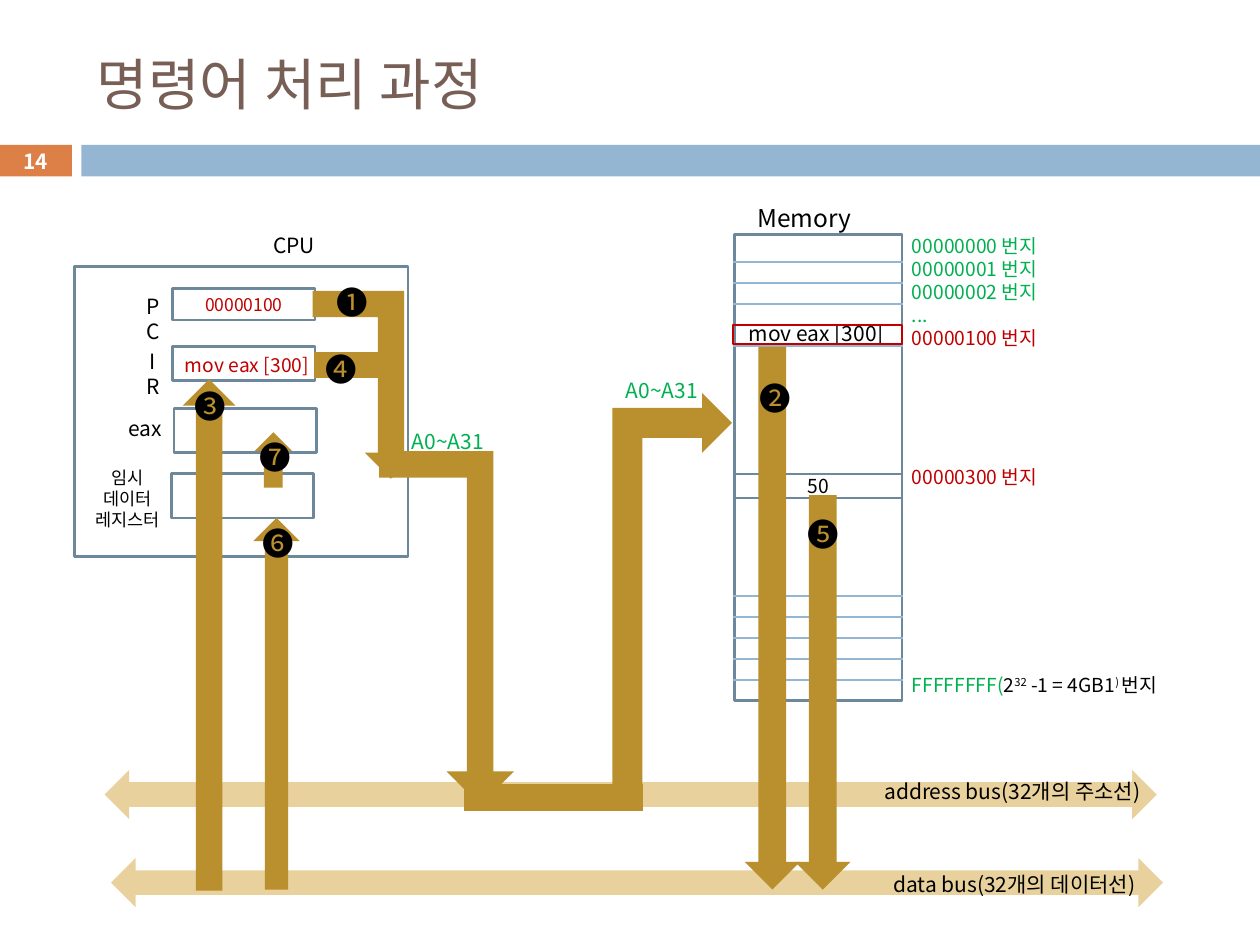
from dataclasses import dataclass

from lxml import etree
from pptx import Presentation
from pptx.dml.color import RGBColor
from pptx.enum.shapes import MSO_CONNECTOR, MSO_SHAPE
from pptx.enum.text import MSO_ANCHOR, MSO_AUTO_SIZE, PP_ALIGN
from pptx.oxml.ns import qn
from pptx.util import Pt

RECT = MSO_SHAPE.RECTANGLE
PROCESS = MSO_SHAPE.FLOWCHART_PROCESS
BUS = MSO_SHAPE.LEFT_RIGHT_ARROW
BENT = MSO_SHAPE.BENT_UP_ARROW
UP = MSO_SHAPE.UP_ARROW
DOWN = MSO_SHAPE.DOWN_ARROW
STRAIGHT = MSO_CONNECTOR.STRAIGHT
LEFT, CENTER = PP_ALIGN.LEFT, PP_ALIGN.CENTER
TOP, MIDDLE = MSO_ANCHOR.TOP, MSO_ANCHOR.MIDDLE
NO_FIT = MSO_AUTO_SIZE.NONE


@dataclass(frozen=True)
class Theme:
    font: str = "Noto Sans CJK KR"
    leading: float = 1.2
    title: str = "775F55"
    black: str = "000000"
    white: str = "FFFFFF"
    red: str = "C00000"
    green: str = "00B050"
    outline: str = "6D879B"
    rule: str = "94B6D2"
    badge: str = "DD8047"
    bus: str = "E8D19D"
    flow: str = "BA8F2D"
    title_size: float = 32
    step_size: float = 18
    heading_size: float = 14
    label_size: float = 12
    address_size: float = 11
    small_size: float = 10


THEME = Theme()


@dataclass(frozen=True)
class Box:
    x: float
    y: float
    w: float
    h: float

    def lengths(self) -> tuple:
        return Pt(self.x), Pt(self.y), Pt(self.w), Pt(self.h)


@dataclass(frozen=True)
class Shape:
    kind: int
    box: Box
    fill: str | None = None
    line: str | None = None
    weight: float = 1.5
    text: str = ""
    color: str = THEME.black
    size: float = THEME.label_size
    bold: bool = False
    flip: bool = False
    rotation: float = 0
    adjust: float = 0.25


@dataclass(frozen=True)
class Label:
    text: str
    box: Box
    size: float = THEME.label_size
    color: str = THEME.black
    align: int = LEFT
    wrap: bool = True


@dataclass(frozen=True)
class Address:
    text: str
    color: str
    rows_above: int = 0


def format_run(r, size: float, color: str, bold: bool = False) -> None:
    r.font.size = Pt(size)
    r.font.bold = bold
    r.font.color.rgb = RGBColor.from_string(color)
    r.font.name = THEME.font
    ea = etree.SubElement(r._r.get_or_add_rPr(), qn("a:ea"))
    ea.set("typeface", THEME.font)


def format_text(tf, size: float, color: str, align: int, anchor: int, bold: bool = False) -> None:
    tf.vertical_anchor = anchor
    for p in tf.paragraphs:
        p.alignment = align
        p.line_spacing = Pt(size * THEME.leading)
        for r in p.runs:
            format_run(r, size, color, bold)


def draw_shape(s, item: Shape) -> None:
    sp = s.shapes.add_shape(item.kind, *item.box.lengths())
    sp.shadow.inherit = False
    sp.rotation = item.rotation
    if item.fill:
        sp.fill.solid()
        sp.fill.fore_color.rgb = RGBColor.from_string(item.fill)
    else:
        sp.fill.background()
    if item.line:
        sp.line.color.rgb = RGBColor.from_string(item.line)
        sp.line.width = Pt(item.weight)
    else:
        sp.line.fill.background()
    if item.flip:
        sp._element.spPr.find(qn("a:xfrm")).set("flipV", "1")
    if item.kind == BENT:
        sp.adjustments[0] = item.adjust
    if item.text:
        sp.text_frame.text = item.text
        format_text(sp.text_frame, item.size, item.color, CENTER, MIDDLE, item.bold)


def draw_label(s, item: Label) -> None:
    tf = s.shapes.add_textbox(*item.box.lengths()).text_frame
    tf.word_wrap = item.wrap
    tf.auto_size = NO_FIT
    tf.text = item.text
    format_text(tf, item.size, item.color, item.align, TOP)


def draw_rules(s, top: float) -> None:
    for row in range(5):
        y = Pt(top + 12 * row)
        cn = s.shapes.add_connector(STRAIGHT, Pt(419), y, Pt(516.2), y)
        cn.line.color.rgb = RGBColor.from_string(THEME.rule)
        cn.line.width = Pt(0.79)
        etree.SubElement(cn._element.spPr, qn("a:effectLst"))


def draw_addresses(s) -> None:
    tf = s.shapes.add_textbox(*Box(514, 130.3, 181, 273.6).lengths()).text_frame
    tf.word_wrap = True
    size = THEME.address_size
    pitch = size * THEME.leading
    for i, item in enumerate(ADDRESSES):
        p = tf.paragraphs[0] if i == 0 else tf.add_paragraph()
        p.text = item.text
        p.line_spacing = Pt(pitch)
        p.space_before = Pt(item.rows_above * pitch)
        format_run(p.runs[0], size, item.color)
    for text, raised in (("2", False), ("32", True), (" -1 = 4GB1", False), (") ", True), ("번지", False)):
        r = p.add_run()
        r.text = text
        format_run(r, size, THEME.black)
        if raised:
            r._r.get_or_add_rPr().set("baseline", "30000")


def step(mark: str, x: float, y: float) -> Label:
    return Label(mark, Box(x, y, 31, 28.8), THEME.step_size, align=CENTER, wrap=False)


def register(x: float, y: float, h: float, text: str = "") -> Shape:
    return Shape(PROCESS, Box(x, y, 81.4, h), line=THEME.outline, text=text,
                 color=THEME.red, size=THEME.small_size)


def flow(kind: int, x: float, y: float, w: float, h: float, **options) -> Shape:
    return Shape(kind, Box(x, y, w, h), fill=THEME.flow, **options)


ADDRESSES = (
    Address("00000000 번지", THEME.green),
    Address("00000001 번지", THEME.green),
    Address("00000002 번지", THEME.green),
    Address("...", THEME.green),
    Address("00000100 번지", THEME.red),
    Address("00000300 번지", THEME.red, 5),
    Address("FFFFFFFF(", THEME.green, 8),
)

FRAME = (
    Shape(RECT, Box(-0.7, 82.8, 41.8, 18), THEME.badge, text="14", color=THEME.white, size=11.9, bold=True),
    Shape(RECT, Box(46.5, 82.8, 673.5, 18), THEME.rule),
    Shape(BUS, Box(63.4, 490.3, 601.2, 28.1), THEME.bus),
    Shape(PROCESS, Box(42.4, 152.4, 190.8, 165.6), line=THEME.outline),
    Shape(PROCESS, Box(419.6, 134, 95.8, 266.4), line=THEME.outline),
    Shape(BUS, Box(59.8, 440, 601.2, 28.1), THEME.bus),
    Label("address bus(32개의 주소선)", Box(498.2, 441.4, 174.2, 21.6)),
    Label("A0~A31", Box(228.2, 241.2, 64, 21.6), color=THEME.green),
    flow(BENT, 216.7, 257.8, 77, 202.3, flip=True, adjust=0.197),
    flow(BENT, 270.7, 303.8, 226.8, 68.4, flip=True, rotation=270),
    Label("A0~A31", Box(350.6, 212.4, 58.3, 21.6), color=THEME.green),
)

DETAILS = (
    flow(PROCESS, 265, 447.8, 102.2, 15.8),
    Label("CPU", Box(149, 129.6, 45.4, 21.6)),
    register(98.6, 164.9, 18, "00000100"),
    register(98.6, 198, 19.4),
    flow(BENT, 178.6, 166.3, 59.8, 107.3, flip=True),
    Shape(PROCESS, Box(418.3, 182.2, 96.5, 16.6), text="mov eax [300]"),
    Label("data bus(32개의 데이터선)", Box(503.3, 494.6, 167, 21.6)),
    Label("IR", Box(75.2, 195.8, 24.4, 21.6), align=CENTER),
    Label("PC", Box(73, 164.2, 28.8, 21.6), align=CENTER),
    Shape(PROCESS, Box(92.9, 200.2, 96.5, 16.6), text="mov eax [300]",
          color=THEME.red, size=THEME.address_size),
    flow(PROCESS, 179.3, 200.9, 41, 15.1),
    Shape(PROCESS, Box(419.8, 270.7, 95.8, 13.7), line=THEME.outline, weight=1,
          text="50", size=THEME.address_size),
    register(97.9, 270.7, 25.2),
    step("❶", 185.8, 158.4),
    step("❹", 179.3, 196.6),
    register(99.4, 233.3, 25.2),
    Label("eax", Box(64.8, 234, 36, 21.6), align=CENTER),
    Label("임시\n데이터\n레지스터", Box(36.7, 263.5, 72.7, 43.9), THEME.small_size, align=CENTER),
    flow(UP, 145.4, 247, 21.6, 31.7),
    step("❼", 141.8, 247),
    flow(DOWN, 425.5, 198, 31.7, 310.3),
    step("❷", 427.7, 213.1),
    flow(UP, 104.4, 216.7, 30.2, 292.3),
    step("❸", 104.4, 217.4),
    flow(DOWN, 454.3, 283, 31.7, 225.4),
    step("❺", 455, 290.9),
    flow(UP, 144.7, 295.9, 26.6, 212.4),
    step("❻", 143.3, 295.9),
    Shape(RECT, Box(419, 185.8, 96.5, 10.8), line=THEME.red, weight=1),
    Label("Memory", Box(425.5, 112.3, 68.4, 24.5), THEME.heading_size, align=CENTER, wrap=False),
)


def draw_items(s, items: tuple) -> None:
    for item in items:
        if isinstance(item, Shape):
            draw_shape(s, item)
        else:
            draw_label(s, item)


def main() -> None:
    prs = Presentation()
    prs.slide_width, prs.slide_height = Pt(720), Pt(540)
    s = prs.slides.add_slide(prs.slide_layouts[5])
    title = s.shapes.title
    title.left, title.top, title.width, title.height = Box(48.2, 18, 642.2, 59).lengths()
    title.text_frame.text = "명령어 처리 과정"
    format_text(title.text_frame, THEME.title_size, THEME.title, LEFT, MIDDLE)
    draw_items(s, FRAME)
    draw_addresses(s)
    draw_rules(s, 149.8)
    draw_rules(s, 340.6)
    draw_items(s, DETAILS)
    prs.save("out.pptx")


if __name__ == "__main__":
    main()
